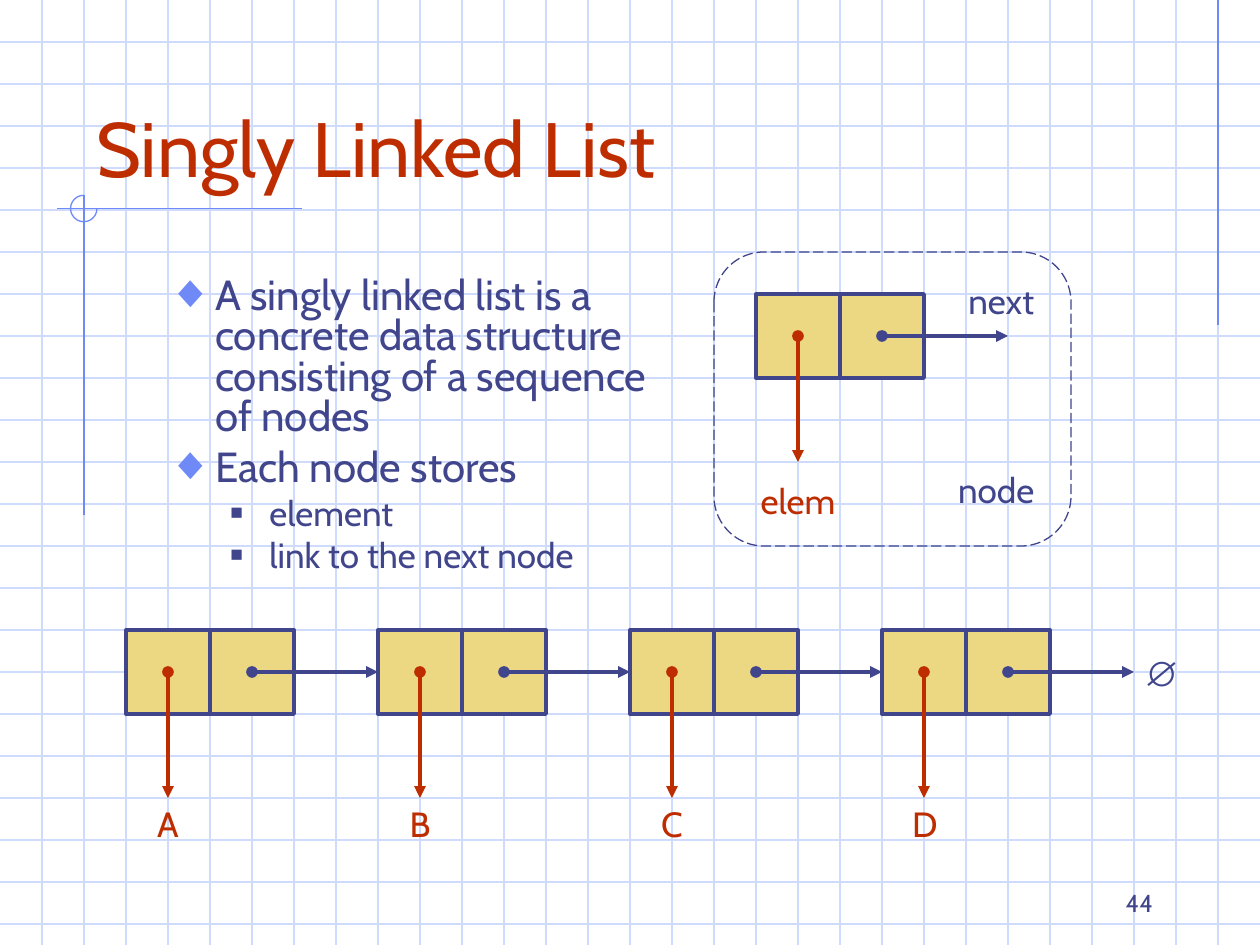
import pptx
import pptx.util
import pptx.dml.color
import pptx.enum.dml
import pptx.enum.shapes
import pptx.enum.text
from lxml import etree
from pptx.oxml.ns import qn

ALIGN = pptx.enum.text.PP_ALIGN
ANCHOR = pptx.enum.text.MSO_ANCHOR
SHAPE = pptx.enum.shapes.MSO_SHAPE

WIDTH, HEIGHT = 10, 7.5
UNIT = 1 / 3  # side of one background square, in inches
COLUMNS, ROWS = 30, 22.5
CELL = 2  # side of a node's cell, in squares

RED, INK, BLUE, GRID, GOLD = "BE2D00", "40458C", "6F89F7", "CFDBFD", "ECD882"

TITLE = "Singly Linked List"
POINTS = [
    (0, "A singly linked list is a concrete data structure consisting of a sequence of nodes"),
    (0, "Each node stores"),
    (1, "element"),
    (1, "link to the next node"),
]
LEVELS = [
    {"size": 24, "before": 6, "left": 0.38, "hang": 0.38, "bullet": "◆", "color": BLUE, "percent": 110},
    {"size": 20, "before": 5, "left": 0.81, "hang": 0.31, "bullet": "■", "color": INK, "percent": 60},
]
ELEMENTS = ["A", "B", "C", "D"]
NODE_ROW, FIRST_COLUMN, NODE_STEP = 15, 3, 6

# Everything below is measured in squares: column, row, and so on.
ORNAMENTS = [(29, 0, 29, 7.75), (7.2, 4.97, 1.35, 4.97), (2, 4.65, 2, 12.27)]
ARC = (1.68, 4.65, 0.63, 0.63)
DETAIL_NODE = (17, 6, 8.5, 7)  # the dashed frame
DETAIL_CELLS = (18, 7)
# text, middle column, top row, width, format
LABELS = [
    ("next", 23.84, 6.5, 2.3, {}),
    ("elem", 19, 11.28, 2.5, {"color": RED}),
    ("node", 23.72, 11, 2.6, {}),
    ("∅", 27.57, 15.36, 1.25, {"name": "Arial", "bold": True}),
]
LABELS += [
    (element, FIRST_COLUMN + 1 + NODE_STEP * index, 18.96, 1.15, {"color": RED})
    for index, element in enumerate(ELEMENTS)
]


def squares(*values):
    return [pptx.util.Inches(value * UNIT) for value in values]


def rgb(color):
    return pptx.dml.color.RGBColor.from_string(color)


def add_run(paragraph, text, color=INK, size=20, name="Cabin", bold=False):
    run = paragraph.add_run()
    run.text = text
    values = {"size": pptx.util.Pt(size), "name": name, "bold": bold}
    for attribute, value in values.items():
        setattr(run.font, attribute, value)
    run.font.color.rgb = rgb(color)


def add_box(slide, left, top, width, height, anchor=ANCHOR.TOP, wrap=True):
    box = slide.shapes.add_textbox(*squares(left, top, width, height))
    box.text_frame.word_wrap = wrap
    box.text_frame.vertical_anchor = anchor
    return box.text_frame


def add_line(slide, ends, color, width=0.75, arrow=False):
    line = slide.shapes.add_connector(pptx.enum.shapes.MSO_CONNECTOR.STRAIGHT, *squares(*ends))
    line.line.color.rgb = rgb(color)
    line.line.width = pptx.util.Pt(width)
    properties = line._element.spPr
    if arrow:
        outline = properties.find(qn("a:ln"))
        etree.SubElement(outline, qn("a:headEnd"), type="oval")
        etree.SubElement(outline, qn("a:tailEnd"), type="triangle")
    etree.SubElement(properties, qn("a:effectLst"))
    return line


def add_outline(slide, kind, place, color, width=0.75, fill=None):
    shape = slide.shapes.add_shape(kind, *squares(*place))
    shape.shadow.inherit = False
    if fill:
        shape.fill.solid()
        shape.fill.fore_color.rgb = rgb(fill)
    else:
        shape.fill.background()
    shape.line.color.rgb = rgb(color)
    shape.line.width = pptx.util.Pt(width)
    return shape


def add_cells(slide, column, row):
    """Draw the two cells of a node and return the left one."""
    return [
        add_outline(slide, SHAPE.RECTANGLE, (left, row, CELL, CELL), INK, 2.25, GOLD)
        for left in (column, column + CELL)
    ][0]


def add_arrows(slide, column, row):
    """Draw a node's element and next arrows and return the latter."""
    x, y = column + CELL / 2, row + CELL / 2
    add_line(slide, (x, y, x, y + 3), RED, 2.25, True)
    return add_line(slide, (x + CELL, y, x + CELL + 3, y), INK, 2.25, True)


def add_background(slide):
    for row in range(1, int(ROWS) + 1):
        add_line(slide, (0, row, COLUMNS, row), GRID)
    for column in range(1, COLUMNS):
        add_line(slide, (column, 0, column, ROWS), GRID)
    for ends in ORNAMENTS:
        add_line(slide, ends, BLUE)
    arc = add_outline(slide, SHAPE.ARC, ARC, BLUE)
    arc.adjustments[0] = 0
    arc.adjustments[1] = 162  # 270 degrees


def add_points(slide):
    frame = add_box(slide, 3.69, 6.48, 12.75, 7.5)
    for index, (level, text) in enumerate(POINTS):
        style = LEVELS[level]
        paragraph = frame.paragraphs[0] if index == 0 else frame.add_paragraph()
        properties = paragraph._p.get_or_add_pPr()
        properties.set("marL", str(pptx.util.Inches(style["left"])))
        properties.set("indent", str(-pptx.util.Inches(style["hang"])))
        color = etree.SubElement(properties, qn("a:buClr"))
        etree.SubElement(color, qn("a:srgbClr"), val=style["color"])
        etree.SubElement(properties, qn("a:buSzPct"), val=str(style["percent"] * 1000))
        etree.SubElement(properties, qn("a:buFont"), typeface="Arial")
        etree.SubElement(properties, qn("a:buChar"), char=style["bullet"])
        paragraph.level = level
        paragraph.line_spacing = 0.8
        if index:
            paragraph.space_before = pptx.util.Pt(style["before"])
        add_run(paragraph, text, size=style["size"])


def add_list(slide):
    columns = [FIRST_COLUMN + NODE_STEP * index for index in range(len(ELEMENTS))]
    cells = [add_cells(slide, column, NODE_ROW) for column in columns]
    arrows = [add_arrows(slide, column, NODE_ROW) for column in columns]
    for arrow, following in zip(arrows, cells[1:]):
        arrow.end_connect(following, 1)


def main():
    presentation = pptx.Presentation()
    presentation.slide_width = pptx.util.Inches(WIDTH)
    presentation.slide_height = pptx.util.Inches(HEIGHT)
    slide = presentation.slides.add_slide(presentation.slide_layouts[6])

    add_background(slide)
    title = add_box(slide, 2, 1, 25.5, 3.75, ANCHOR.BOTTOM)
    add_run(title.paragraphs[0], TITLE, RED, 44)
    add_points(slide)

    frame = add_outline(slide, SHAPE.ROUNDED_RECTANGLE, DETAIL_NODE, INK)
    frame.adjustments[0] = 0.17
    frame.line.dash_style = pptx.enum.dml.MSO_LINE.LONG_DASH
    add_cells(slide, *DETAIL_CELLS)
    add_arrows(slide, *DETAIL_CELLS)
    add_list(slide)

    for text, middle, top, width, style in LABELS:
        label = add_box(slide, middle - width / 2, top, width, 1.31, wrap=False)
        label.paragraphs[0].alignment = ALIGN.CENTER
        add_run(label.paragraphs[0], text, **style)

    number = add_box(slide, 21.5, 20.5, 6.25, 1.5, ANCHOR.BOTTOM)
    number.paragraphs[0].alignment = ALIGN.RIGHT
    add_run(number.paragraphs[0], "44", size=14)

    presentation.save("out.pptx")


if __name__ == "__main__":
    main()
